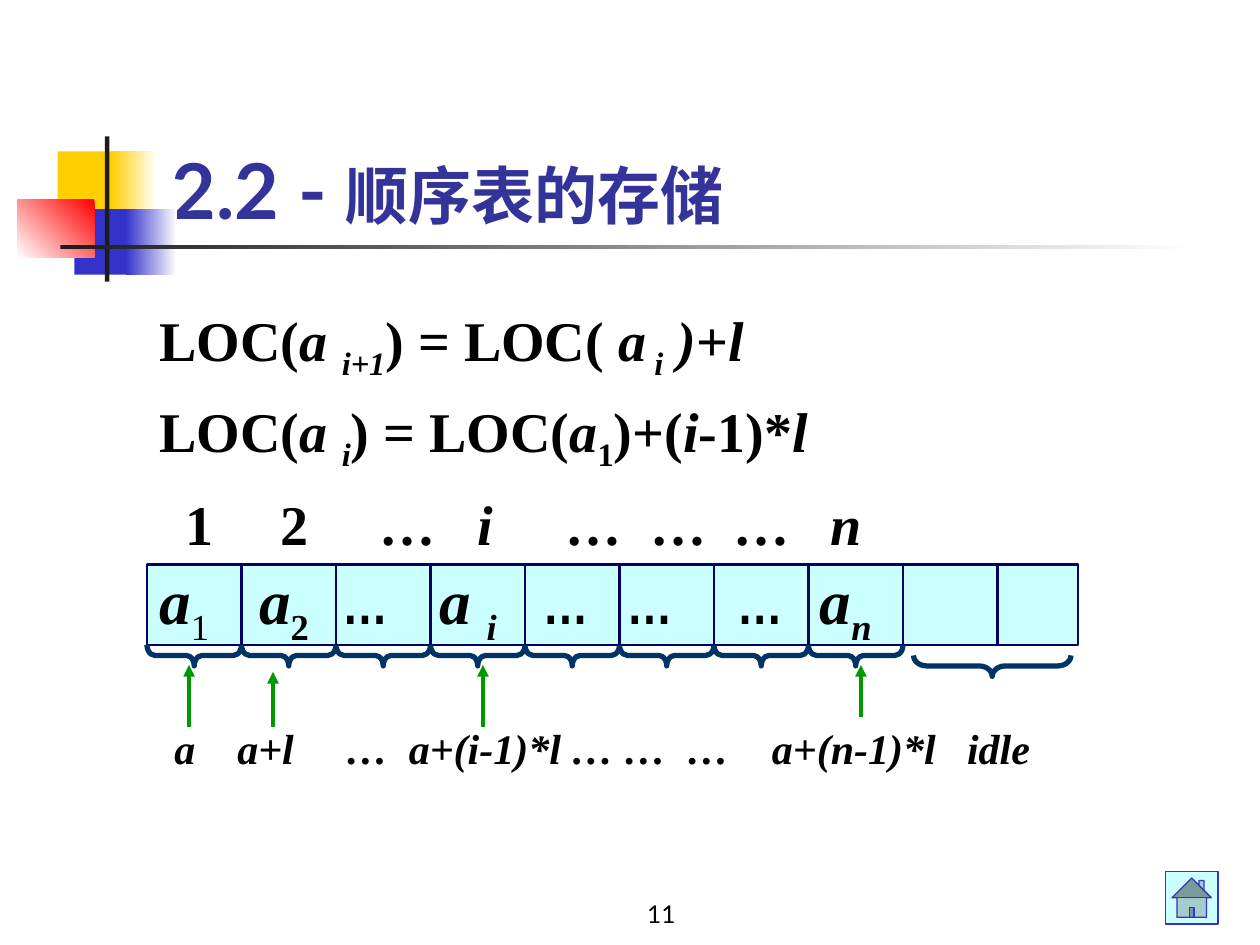
from dataclasses import dataclass
from typing import Optional

from lxml.etree import SubElement
from pptx import Presentation
from pptx.dml.color import RGBColor
from pptx.enum.shapes import MSO_CONNECTOR, MSO_SHAPE
from pptx.enum.text import MSO_ANCHOR, MSO_AUTO_SIZE, PP_ALIGN
from pptx.oxml.ns import qn
from pptx.util import Pt

WHITE = RGBColor(0xFF, 0xFF, 0xFF)
BLACK = RGBColor(0x00, 0x00, 0x00)
YELLOW = RGBColor(0xFF, 0xCF, 0x01)
BLUE = RGBColor(0x33, 0x33, 0xCC)
RED = RGBColor(0xFF, 0x00, 0x00)
DARK = RGBColor(0x1C, 0x1C, 0x1C)
TITLE_BLUE = RGBColor(0x33, 0x33, 0x99)
CELL_FILL = RGBColor(0xCC, 0xFF, 0xFF)
CELL_LINE = RGBColor(0x00, 0x00, 0x66)
BRACE_BLUE = RGBColor(0x00, 0x33, 0x66)
ARROW_GREEN = RGBColor(0x00, 0x99, 0x00)

SERIF, NARROW, SANS = "Times New Roman", "Arial Narrow", "Lato"

ARRAY_LEFT, ARRAY_TOP, ARRAY_WIDTH, ARRAY_HEIGHT = 84, 322.5, 532, 46
ARRAY_BOTTOM = ARRAY_TOP + ARRAY_HEIGHT
CELL_WIDTH = 54
USED_CELLS = 8
BRACE_DEPTH = 12


@dataclass
class Band:
    left: float
    top: float
    width: float
    height: float
    color: RGBColor
    fade_angle: Optional[float] = None


@dataclass
class Span:
    text: str
    size: float = 32
    italic: bool = False
    sub: bool = False
    bold: bool = True
    font: str = SERIF
    color: RGBColor = BLACK


@dataclass
class Arrow:
    x: float
    start: float
    end: float


BANDS = [
    Band(33, 86.5, 34.5, 37.5, YELLOW),
    Band(63.5, 86.5, 26, 37.5, YELLOW, 0),
    Band(42.5, 119.5, 33, 37.5, BLUE),
    Band(72, 119.5, 29, 37.5, BLUE, 0),
    Band(10, 114, 44, 33, RED, 225),
    Band(60, 78, 2.5, 83, DARK),
    Band(34.5, 140, 648, 2.5, DARK, 0),
]
ARROWS = [Arrow(108, 415.5, 380), Arrow(156, 415.5, 384),
          Arrow(276, 415.5, 380), Arrow(492, 409.5, 380)]

TITLE = [Span("2.2 - ", 44, font=SANS, color=TITLE_BLUE),
         Span("顺序表的存储", 36, font=SANS, color=TITLE_BLUE)]
FORMULAS = [
    [Span("LOC("), Span("a ", italic=True), Span("i+1", italic=True, sub=True),
     Span(") = LOC("), Span(" a", italic=True), Span(" i", italic=True, sub=True),
     Span(" )", italic=True), Span("+"), Span("l", italic=True)],
    [Span("LOC("), Span("a ", italic=True), Span("i", italic=True, sub=True),
     Span(") = LOC("), Span("a", italic=True), Span("1", sub=True),
     Span(")+("), Span("i", italic=True), Span("-1)*"), Span("l", italic=True)],
]
INDEXES = [Span("\t1\t2\t…\t"), Span("i", italic=True),
           Span("\t…\t…\t…\t"), Span("n", italic=True)]
INDEX_TABS = [9, 63.5, 120, 176, 226, 274.5, 322, 377.5]
ELEMENTS = [
    Span("a", 36, italic=True), Span("1", 36, sub=True, bold=False),
    Span("\t", font=NARROW),
    Span("a", 36, italic=True), Span("2", 36, sub=True),
    Span("\t…\t", font=NARROW),
    Span("a ", 36, italic=True), Span("i", 36, italic=True, sub=True),
    Span("\t…\t…\t…\t", font=NARROW),
    Span("a", 36, italic=True), Span("n", 36, italic=True, sub=True),
]
ELEMENT_TABS = [57, 104.5, 160, 219, 267, 330, 377.5]
ADDRESSES = [
    Span("\t", 36, italic=True),
    Span("a\ta+l\t…\ta+(i-1)*l … …\t…\ta+(n-1)*l\tidle", 24, italic=True),
]
ADDRESS_TABS = [26.5, 62.5, 124.5, 160.5, 319.5, 368, 479.5]


def place(shape, left: float, top: float, width: float, height: float) -> None:
    shape.left, shape.top = Pt(left), Pt(top)
    shape.width, shape.height = Pt(width), Pt(height)


def write_spans(para, spans: list[Span], tabs: list[float] = ()) -> None:
    if tabs:
        tab_list = SubElement(para._p.get_or_add_pPr(), qn("a:tabLst"))
        for position in tabs:
            SubElement(tab_list, qn("a:tab"), pos=str(int(Pt(position))), algn="l")
    for span in spans:
        run = para.add_run()
        run.text = span.text
        font = run.font
        font.name, font.size = span.font, Pt(span.size)
        font.bold, font.italic = span.bold, span.italic
        font.color.rgb = span.color
        if span.sub:
            run._r.get_or_add_rPr().set("baseline", "-25000")


def prepare_frame(shape, anchor: MSO_ANCHOR):
    frame = shape.text_frame
    frame.word_wrap = True
    frame.auto_size = MSO_AUTO_SIZE.NONE
    frame.vertical_anchor = anchor
    return frame


def add_text_row(page, left: float, top: float, width: float, height: float,
                 spans: list[Span], tabs: list[float] = (),
                 anchor=MSO_ANCHOR.TOP, align=PP_ALIGN.LEFT) -> None:
    box = page.shapes.add_textbox(Pt(left), Pt(top), Pt(width), Pt(height))
    para = prepare_frame(box, anchor).paragraphs[0]
    para.alignment = align
    write_spans(para, spans, tabs)


def add_preset(page, kind: MSO_SHAPE, left: float, top: float, width: float, height: float):
    shape = page.shapes.add_shape(kind, Pt(left), Pt(top), Pt(width), Pt(height))
    shape.shadow.inherit = False
    return shape


def add_band(page, band: Band) -> None:
    shape = add_preset(page, MSO_SHAPE.RECTANGLE, band.left, band.top, band.width, band.height)
    shape.line.fill.background()
    if band.fade_angle is None:
        shape.fill.solid()
        shape.fill.fore_color.rgb = band.color
        return
    shape.fill.gradient()
    shape.fill.gradient_angle = band.fade_angle
    for stop, color in zip(shape.fill.gradient_stops, (band.color, WHITE)):
        stop.color.rgb = color


def outline(shape, fill: RGBColor, color: RGBColor, width: float) -> None:
    shape.fill.solid()
    shape.fill.fore_color.rgb = fill
    shape.line.color.rgb = color
    shape.line.width = Pt(width)


def add_vertical_line(page, x: float, start: float, end: float, color: RGBColor, width: float):
    line = page.shapes.add_connector(MSO_CONNECTOR.STRAIGHT, Pt(x), Pt(start), Pt(x), Pt(end))
    line.line.color.rgb = color
    line.line.width = Pt(width)
    SubElement(line._element.spPr, qn("a:effectLst"))
    return line


def add_arrow(page, arrow: Arrow) -> None:
    line = add_vertical_line(page, arrow.x, arrow.start, arrow.end, ARROW_GREEN, 2.25)
    SubElement(line.line._get_or_add_ln(), qn("a:tailEnd"), type="triangle")


def add_brace(page, left: float, top: float, span: float) -> None:
    """Draw a brace that points down, as a left brace turned by 270 degrees."""
    brace = add_preset(page, MSO_SHAPE.LEFT_BRACE, left + (span - BRACE_DEPTH) / 2,
                       top + (BRACE_DEPTH - span) / 2, BRACE_DEPTH, span)
    brace.rotation = 270
    brace.adjustments[0] = span / 12 / BRACE_DEPTH
    brace.fill.background()
    brace.line.color.rgb = BRACE_BLUE
    brace.line.width = Pt(3)


def add_array(page) -> None:
    array = add_preset(page, MSO_SHAPE.RECTANGLE, ARRAY_LEFT, ARRAY_TOP, ARRAY_WIDTH, ARRAY_HEIGHT)
    outline(array, CELL_FILL, CELL_LINE, 1.5)
    para = prepare_frame(array, MSO_ANCHOR.MIDDLE).paragraphs[0]
    para.alignment = PP_ALIGN.LEFT
    write_spans(para, ELEMENTS, ELEMENT_TABS)
    for cell in range(1, USED_CELLS + 2):
        add_vertical_line(page, ARRAY_LEFT + cell * CELL_WIDTH, ARRAY_TOP, ARRAY_BOTTOM, CELL_LINE, 1.5)
    for cell in range(USED_CELLS):
        add_brace(page, ARRAY_LEFT + cell * CELL_WIDTH, ARRAY_BOTTOM, CELL_WIDTH)
    add_brace(page, 522, 374.5, 90)


def main() -> None:
    deck = Presentation()
    deck.slide_width, deck.slide_height = Pt(720), Pt(540)
    page = deck.slides.add_slide(deck.slide_layouts[1])
    for band in BANDS:
        add_band(page, band)

    title, body = page.shapes.title, page.placeholders[1]
    place(title, 91, 48, 613, 90)
    para = prepare_frame(title, MSO_ANCHOR.BOTTOM).paragraphs[0]
    para.alignment = PP_ALIGN.LEFT
    write_spans(para, TITLE)

    place(body, 84, 162, 570, 112)
    frame = prepare_frame(body, MSO_ANCHOR.TOP)
    for number, spans in enumerate(FORMULAS):
        para = frame.add_paragraph() if number else frame.paragraphs[0]
        properties = para._p.get_or_add_pPr()
        properties.set("marL", "0")
        properties.set("indent", "0")
        SubElement(properties, qn("a:buNone"))
        para.line_spacing, para.space_before = 1.2, Pt(0)
        write_spans(para, spans)

    add_text_row(page, 90, 276, 426, 46, INDEXES, INDEX_TABS)
    add_array(page)
    add_text_row(page, 66, 397.5, 552, 50, ADDRESSES, ADDRESS_TABS)
    for arrow in ARROWS:
        add_arrow(page, arrow)

    home = add_preset(page, MSO_SHAPE.ACTION_BUTTON_HOME, 666, 498, 30, 30)
    outline(home, CELL_FILL, BLUE, 0.75)
    add_text_row(page, 303, 498, 150, 36, [Span("11", 14, bold=False, font=SANS)],
                 anchor=MSO_ANCHOR.BOTTOM, align=PP_ALIGN.CENTER)
    deck.save("out.pptx")


if __name__ == "__main__":
    main()
